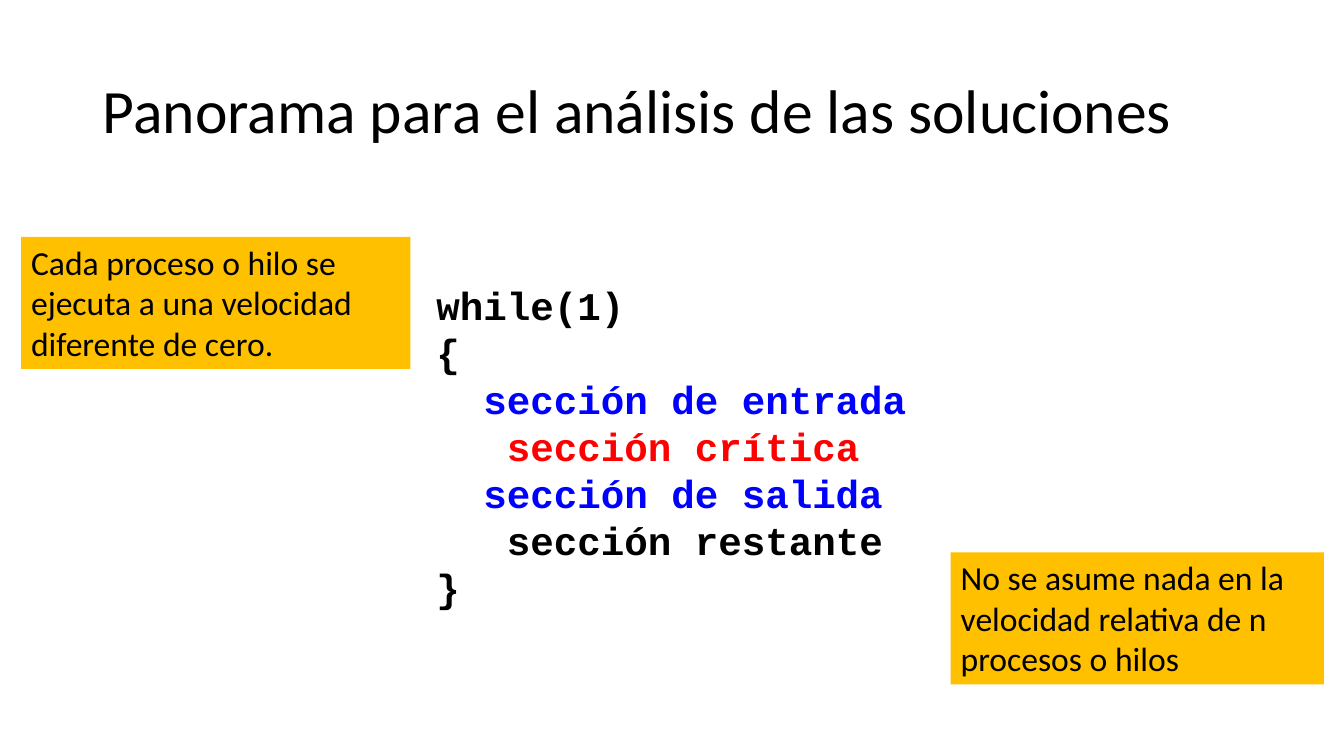
from pptx import Presentation
from pptx import util as u
from pptx.dml.color import RGBColor
from pptx.enum import shapes, text

BLACK, BLUE, RED, AMBER = "000000", "0000FF", "FF0000", "FFC000"
CODE_SIZE = 28
CHARACTER_WIDTH = u.Pt(CODE_SIZE * 0.6)  # advance of one monospaced character

# Code lines: text, indent in characters, colour
CODE_LINES = [
    ("while(1)", 0, BLACK),
    ("{", 0, BLACK),
    ("sección de entrada", 2, BLUE),
    ("sección crítica", 3, RED),
    ("sección de salida", 2, BLUE),
    ("sección restante", 3, BLACK),
    ("}", 0, BLACK),
]

# Notes: text, left, top, width, height
NOTES = [
    ("Cada proceso o hilo se ejecuta a una velocidad diferente de cero.",
     0.21, 2.35, 3.86, 1.31),
    ("No se asume nada en la velocidad relativa de n procesos o hilos",
     9.43, 5.48, 3.7, 1.31),
]


def color(value):
    return RGBColor.from_string(value)


def write(paragraph, content, size=24, font="Calibri", fill=BLACK,
          bold=False, indent=0, spacing=None):
    """Put formatted text into a paragraph."""
    run = paragraph.add_run()
    run.text = content
    run.font.size = u.Pt(size)
    run.font.name = font
    run.font.bold = bold
    run.font.color.rgb = color(fill)
    paragraph.alignment = text.PP_ALIGN.LEFT
    paragraph.line_spacing = spacing
    if indent:
        properties = paragraph._p.get_or_add_pPr()
        properties.set("marL", str(int(indent)))
        properties.set("indent", "0")


def add_text_box(slide, left, top, width, height, anchor=text.MSO_ANCHOR.TOP):
    box = slide.shapes.add_textbox(*map(u.Inches, (left, top, width, height)))
    box.text_frame.word_wrap = True
    box.text_frame.vertical_anchor = anchor
    return box.text_frame


def add_title(slide, content):
    frame = add_text_box(slide, 0.92, 0.4, 11.5, 1.45, text.MSO_ANCHOR.MIDDLE)
    write(frame.paragraphs[0], content, size=44, spacing=0.9)


def add_code(slide, lines):
    frame = add_text_box(slide, 4.23, 2.74, 5.21, 3.4)
    for number, (content, characters, fill) in enumerate(lines):
        paragraph = frame.add_paragraph() if number else frame.paragraphs[0]
        write(paragraph, content, size=CODE_SIZE, font="Courier New", fill=fill,
              bold=True, indent=characters * CHARACTER_WIDTH)


def add_note(slide, content, left, top, width, height):
    shape = slide.shapes.add_shape(shapes.MSO_SHAPE.RECTANGLE,
                                   *map(u.Inches, (left, top, width, height)))
    shape.shadow.inherit = False
    shape.fill.solid()
    shape.fill.fore_color.rgb = color(AMBER)
    shape.line.fill.background()
    shape.text_frame.word_wrap = True
    shape.text_frame.vertical_anchor = text.MSO_ANCHOR.TOP
    write(shape.text_frame.paragraphs[0], content)


def main():
    presentation = Presentation()
    presentation.slide_width = u.Inches(13.33)
    presentation.slide_height = u.Inches(7.5)
    slide = presentation.slides.add_slide(presentation.slide_layouts[6])

    # Heading and pseudocode
    add_title(slide, "Panorama para el análisis de las soluciones")
    add_code(slide, CODE_LINES)

    # Assumptions on speed
    for note in NOTES:
        add_note(slide, *note)

    presentation.save("out.pptx")


if __name__ == "__main__":
    main()
